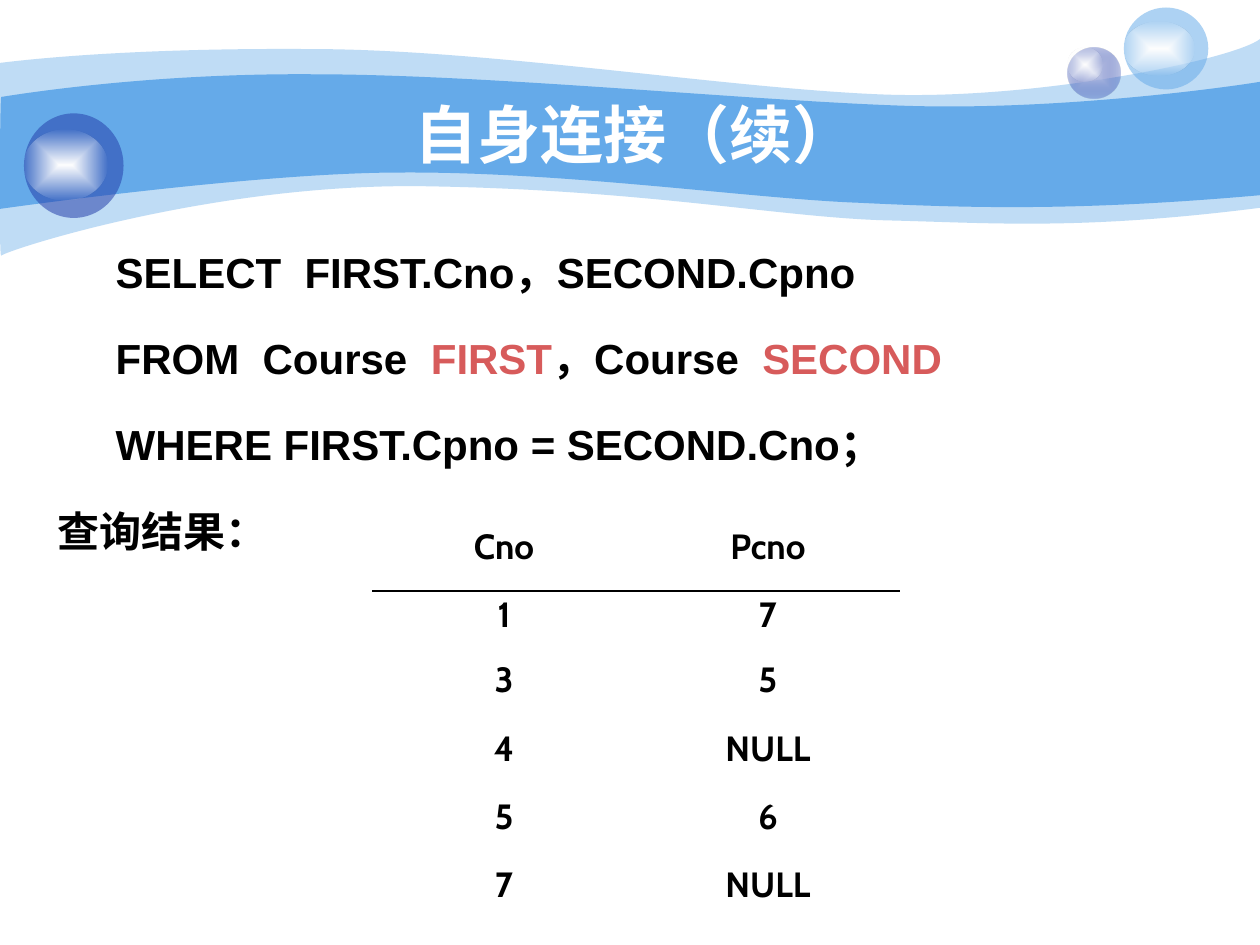
from dataclasses import dataclass

from lxml import etree
from pptx import Presentation
from pptx import util as u
from pptx.dml import color
from pptx.enum import shapes, text
from pptx.oxml import ns

INCH = 2.54  # centimetres


@dataclass(frozen=True)
class Theme:
    sky: str = "65AAE9"
    navy: str = "233DA9"
    mist: str = "C7CEE9"
    white: str = "FFFFFF"
    black: str = "000000"
    accent: str = "D75B5B"
    font: str = "Arial"
    table_font: str = "Cabin"
    title_size: int = 36
    body_size: int = 24
    table_size: int = 20
    no_grid: str = "{2D5ABB26-0587-4C30-8999-92F81FD0307C}"


theme = Theme()


def write(para, words, size=theme.body_size, font=theme.font, ink=theme.black,
          align=None, spacing=None, before=0, hanging=0):
    """Add one bold run and format its paragraph."""
    para.alignment, para.line_spacing = align, spacing
    para.space_before = u.Pt(before)
    if hanging:
        layout = para._p.get_or_add_pPr()
        layout.set("marL", str(u.Cm(hanging)))
        layout.set("indent", str(-u.Cm(hanging)))
    span = para.add_run()
    span.text = words
    span.font.size, span.font.name, span.font.bold = u.Pt(size), font, True
    span.font.color.rgb = color.RGBColor.from_string(ink)


def paint(shape, *stops):
    """Fill with (colour, opacity %) stops: one is solid, two run from the centre out."""
    shape.shadow.inherit = False
    shape.line.fill.background()
    shape.fill.solid()
    solid = shape.fill._xPr.find(ns.qn("a:solidFill"))
    fill = solid
    if len(stops) > 1:
        fill = etree.Element(ns.qn("a:gradFill"), rotWithShape="1")
        solid.getparent().replace(solid, fill)
        gradient = etree.SubElement(fill, ns.qn("a:gsLst"))
        route = etree.SubElement(fill, ns.qn("a:path"), path="rect")
        etree.SubElement(route, ns.qn("a:fillToRect"),
                         l="50000", t="50000", r="50000", b="50000")
    for index, (tint, opacity) in enumerate(stops):
        holder = fill
        if len(stops) > 1:
            holder = etree.SubElement(gradient, ns.qn("a:gs"), pos=str(index * 100000))
        tone = etree.SubElement(holder, ns.qn("a:srgbClr"), val=tint)
        if opacity < 100:
            etree.SubElement(tone, ns.qn("a:alpha"), val=str(opacity * 1000))


deck = Presentation()
deck.slide_width, deck.slide_height = u.Cm(10 * INCH), u.Cm(7.5 * INCH)
page = deck.slides.add_slide(deck.slide_layouts[6])

# Wave ribbons: upper edge left to right, lower edge back, as Bezier curves in inches
waves = [
    (41,
     [(0, 0.5), (0.24, 0.47), (1.07, 0.38), (2.47, 0.39), (3.86, 0.39), (5.75, 0.7),
      (6.99, 0.75), (8.22, 0.8), (9.8, 0.47), (10, 0.31)],
     [(10, 1.65), (8.58, 1.83), (7.87, 1.77), (7.05, 1.75), (6.22, 1.73), (5.15, 1.51),
      (3.43, 1.48), (1.72, 1.44), (0.04, 1.99), (0.01, 2.03), (-0.01, 2.08), (0, 0.75),
      (0, 0.5)]),
    (100,
     [(0.01, 0.77), (0.02, 0.77), (1.1, 0.58), (2.48, 0.59), (3.86, 0.59), (5.95, 0.8),
      (7.18, 0.84), (8.41, 0.88), (9.76, 0.69), (10, 0.65)],
     [(10, 1.55), (8.53, 1.68), (7.65, 1.65), (6.82, 1.61), (5.99, 1.58), (4.47, 1.36),
      (3.17, 1.37), (2.03, 1.37), (-0.02, 1.66), (-0.01, 1.66), (0, 1.66), (0, 0.77),
      (0.01, 0.77)]),
]
for opacity, upper, lower in waves:
    points = [(u.Cm(x * INCH), u.Cm(y * INCH)) for x, y in upper + lower]
    outline = page.shapes.build_freeform(*points[0])
    outline.add_line_segments(points[1:], close=True)
    ribbon = outline.convert_to_shape()
    # Join every three segments of an edge into one curve
    segments = list(ribbon._element.iter(ns.qn("a:lnTo")))
    turn = len(upper) - 1
    for edge in (segments[:turn], segments[turn + 1:]):
        for start in range(0, len(edge) - 2, 3):
            curve = etree.Element(ns.qn("a:cubicBezTo"))
            edge[start].addprevious(curve)
            for segment in edge[start:start + 3]:
                curve.append(segment[0])
                segment.getparent().remove(segment)
    paint(ribbon, (theme.sky, opacity))

# Bubbles, each with a soft highlight
glow = [(theme.white, 100), (theme.white, 0)]
bubbles = [
    ((8.47, 0.38, 0.42, 0.40), [(theme.mist, 100), (theme.navy, 31)]),
    ((8.47, 0.38, 0.28, 0.27), glow),
    ((8.92, 0.06, 0.67, 0.65), [(theme.sky, 53)]),
    ((8.92, 0.17, 0.56, 0.43), glow),
    ((0.19, 0.90, 0.79, 0.83), [(theme.navy, 53)]),
    ((0.19, 1.03, 0.66, 0.56), glow),
]
for place, stops in bubbles:
    bubble = page.shapes.add_shape(shapes.MSO_SHAPE.OVAL, *(u.Cm(n * INCH) for n in place))
    paint(bubble, *stops)

# Title
box = page.shapes.add_textbox(*(u.Cm(n * INCH) for n in (1, 0.75, 8.08, 0.62)))
box.text_frame.word_wrap = True
box.text_frame.vertical_anchor = text.MSO_ANCHOR.MIDDLE
write(box.text_frame.paragraphs[0], "自身连接（续）", size=theme.title_size,
      ink=theme.white, align=text.PP_ALIGN.CENTER)

# Query and result heading
lines = [
    [("     SELECT  FIRST.Cno，SECOND.Cpno", theme.black)],
    [("     FROM  Course  ", theme.black), ("FIRST", theme.accent),
     ("，Course  ", theme.black), ("SECOND", theme.accent)],
    [("     WHERE FIRST.Cpno = SECOND.Cno；", theme.black)],
    [("查询结果：", theme.black)],
]
box = page.shapes.add_textbox(u.Cm(0.91), u.Cm(4.34), u.Cm(21.64), u.Cm(7.04))
box.text_frame.word_wrap = True
for index, line in enumerate(lines):
    para = box.text_frame.add_paragraph() if index else box.text_frame.paragraphs[0]
    for words, ink in line:
        write(para, words, ink=ink, spacing=1.5, before=6 if index else 0, hanging=0.95)

# Result table
records = [("Cno", "Pcno"), ("1", "7"), ("3", "5"), ("4", "NULL"), ("5", "6"), ("7", "NULL")]
frame = page.shapes.add_table(len(records), 2, u.Cm(7.5), u.Cm(10.53), u.Cm(10.64), u.Cm(8.21))
table = frame.table
table.first_row = table.horz_banding = False
table._tbl.tblPr.find(ns.qn("a:tableStyleId")).text = theme.no_grid
for index, record in enumerate(records):
    table.rows[index].height = u.Cm(1.31 if index == 1 else 1.38)
    for cell, value in zip(table.rows[index].cells, record):
        cell.fill.background()
        write(cell.text_frame.paragraphs[0], value, size=theme.table_size, hanging=0.95,
              font=theme.table_font, align=text.PP_ALIGN.CENTER, spacing=0.9)
        # Only the rule between the header and the records is drawn
        for place, side in enumerate(("lnL", "lnR", "lnT", "lnB")):
            rule = etree.Element(ns.qn("a:" + side))
            if (index, side) in ((0, "lnB"), (1, "lnT")):
                rule.set("w", str(u.Pt(1.47)))
                ink = etree.SubElement(rule, ns.qn("a:solidFill"))
                etree.SubElement(ink, ns.qn("a:srgbClr"), val=theme.black)
            else:
                etree.SubElement(rule, ns.qn("a:noFill"))
            cell._tc.get_or_add_tcPr().insert(place, rule)

deck.save("out.pptx")
